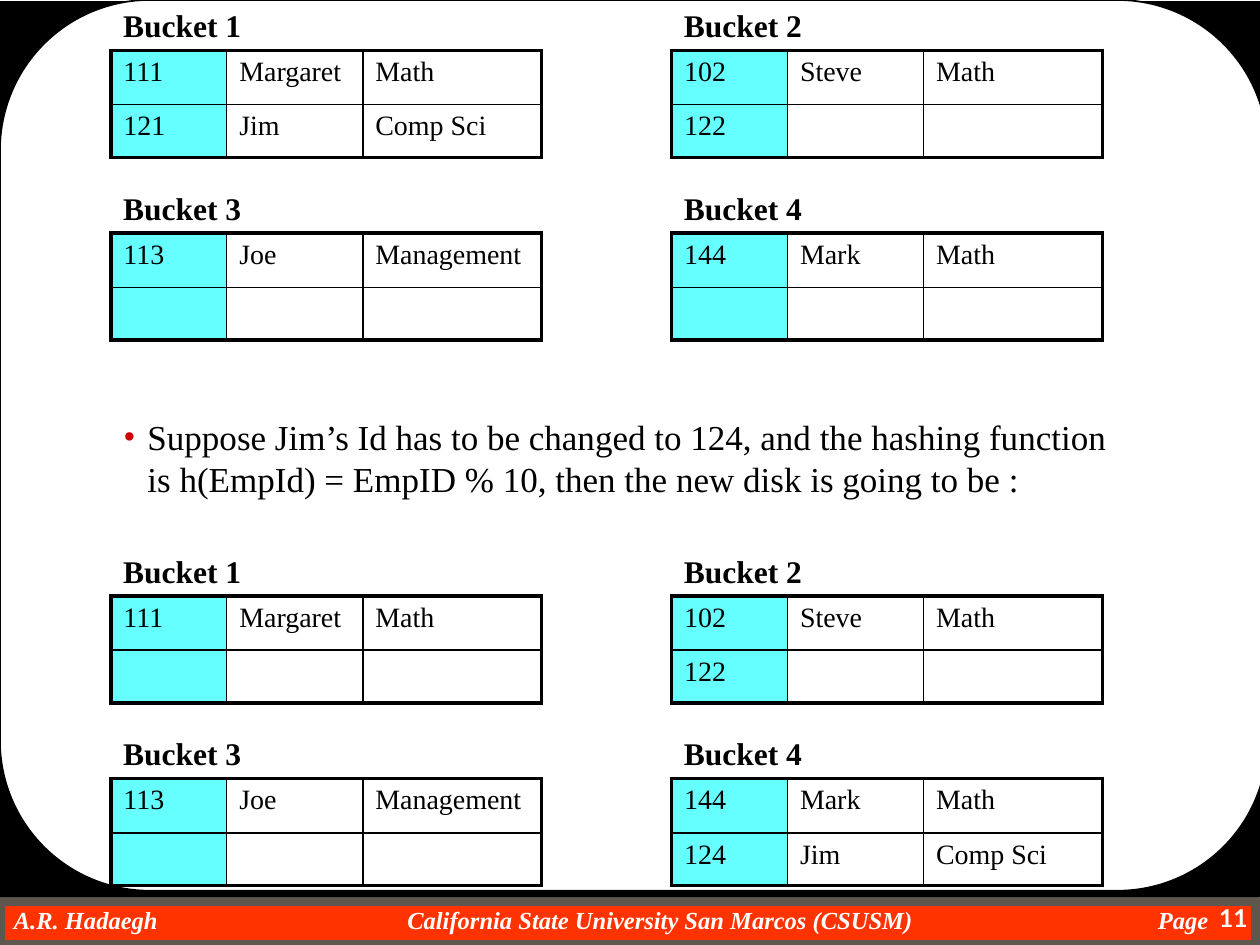
from itertools import product
from lxml import etree
from pptx import Presentation
from pptx import util as u
from pptx.dml.color import RGBColor
from pptx.enum import shapes, text
from pptx.oxml.ns import qn

COLORS = {
    "black": "000000", "white": "FFFFFF", "bar": "FF3300",
    "edge": "5E574E", "key": "66FFFF", "bullet": "CC0000",
}
SERIF = "Times New Roman"
LEFTS = [0.88, 5.33]
SECTION_TOPS = [0, 4.33]
BUCKET_PITCH = 1.45
LABEL_H = 0.4
COL_WIDTHS = [0.92, 1.08, 1.42]
ROW_HEIGHTS = [0.43, 0.42]
BUCKETS = [
    [
        [("111", "Margaret", "Math"), ("121", "Jim", "Comp Sci")],
        [("102", "Steve", "Math"), ("122", "", "")],
        [("113", "Joe", "Management"), ("", "", "")],
        [("144", "Mark", "Math"), ("", "", "")],
    ],
    [
        [("111", "Margaret", "Math"), ("", "", "")],
        [("102", "Steve", "Math"), ("122", "", "")],
        [("113", "Joe", "Management"), ("", "", "")],
        [("144", "Mark", "Math"), ("124", "Jim", "Comp Sci")],
    ],
]


def child(parent, tag, **attrs):
    el = etree.SubElement(parent, qn(tag))
    for name, value in attrs.items():
        el.set(name, str(value))
    return el


def write(tf, words, size=16, font=SERIF, color="black", bold=False,
          italic=False, align=text.PP_ALIGN.LEFT, wrap=True):
    tf.word_wrap = wrap
    p = tf.paragraphs[0]
    p.alignment = align
    r = p.add_run()
    r.text = words
    r.font.size = u.Pt(size)
    r.font.name = font
    r.font.bold = bold
    r.font.italic = italic
    r.font.color.rgb = RGBColor.from_string(COLORS[color])
    return p


prs = Presentation()
prs.slide_width, prs.slide_height = u.Inches(10), u.Inches(7.5)
slide = prs.slides.add_slide(prs.slide_layouts[1])
title, body = slide.placeholders
title.element.getparent().remove(title.element)

RECT = shapes.MSO_SHAPE.RECTANGLE
ROUND = shapes.MSO_SHAPE.ROUNDED_RECTANGLE
for kind, box, fill, line, width in [
    (RECT, (0, 7.15, 9.97, 0.35), "bar", "edge", 6),
    (RECT, (0, 0.01, 10, 7.11), "black", None, 0),
    (ROUND, (0, 0, 10.06, 7.07), "white", "black", 1),
]:
    sp = slide.shapes.add_shape(kind, *map(u.Inches, box))
    sp.shadow.inherit = False
    sp.fill.solid()
    sp.fill.fore_color.rgb = RGBColor.from_string(COLORS[fill])
    if line:
        sp.line.color.rgb = RGBColor.from_string(COLORS[line])
        sp.line.width = u.Pt(width)
    else:
        sp.line.fill.background()
    if kind == ROUND:
        sp.adjustments[0] = 1.19 / 7.07

footer = slide.shapes.add_textbox(*map(u.Inches, (0, 7.18, 9.68, 0.23)))
tf = footer.text_frame
tf.margin_left = u.Inches(0.11)
tf.margin_top = tf.margin_right = tf.margin_bottom = 0
p = write(tf, "A.R. Hadaegh\tCalifornia State University San Marcos (CSUSM)\tPage",
          size=14, color="white", bold=True, italic=True)
tabs = child(p._p.get_or_add_pPr(), "a:tabLst")
for pos, algn in [(5.13, "ctr"), (9.48, "r")]:
    child(tabs, "a:tab", pos=u.Inches(pos), algn=algn)

number = slide.shapes.add_textbox(*map(u.Inches, (9.25, 7.12, 0.75, 0.38)))
write(number.text_frame, "11", size=14, font="Lato", color="white", bold=True,
      align=text.PP_ALIGN.RIGHT)

slide.shapes._spTree.append(body.element)
body.left, body.top, body.width, body.height = map(u.Inches, (0.88, 3.25, 8.25, 0.77))
tf = body.text_frame
tf.auto_size = text.MSO_AUTO_SIZE.NONE
tf.vertical_anchor = text.MSO_ANCHOR.TOP
p = write(tf, "Suppose Jim’s Id has to be changed to 124, and the hashing function "
          "is h(EmpId) = EmpID % 10, then the new disk is going to be :", size=20)
p.space_before = u.Pt(0)
pPr = p._p.get_or_add_pPr()
pPr.set("marL", str(u.Inches(0.19)))
pPr.set("indent", str(u.Inches(-0.19)))
child(child(pPr, "a:buClr"), "a:srgbClr", val=COLORS["bullet"])
child(pPr, "a:buFont", typeface=SERIF)
child(pPr, "a:buChar", char="•")

for (section, section_top), (row, col) in product(
        enumerate(SECTION_TOPS), product(range(2), range(2))):
    index = 2 * row + col
    left, top = LEFTS[col], section_top + row * BUCKET_PITCH
    label = slide.shapes.add_textbox(*map(u.Inches, (left, top, 1.14, LABEL_H)))
    write(label.text_frame, f"Bucket {index + 1}", size=18, bold=True, wrap=False)

    frame = slide.shapes.add_table(2, 3, *map(u.Inches, (
        left, top + LABEL_H, sum(COL_WIDTHS), sum(ROW_HEIGHTS))))
    table = frame.table
    table.first_row = table.horz_banding = False
    for i, width in enumerate(COL_WIDTHS):
        table.columns[i].width = u.Inches(width)
    for i, height in enumerate(ROW_HEIGHTS):
        table.rows[i].height = u.Inches(height)

    for i, j in product(range(2), range(3)):
        cell = table.cell(i, j)
        words = BUCKETS[section][index][i][j]
        if words:
            p = write(cell.text_frame, words)
            child(child(p._p.get_or_add_pPr(), "a:spcBef"), "a:spcPct", val=20000)
        tcPr = cell._tc.get_or_add_tcPr()
        for side, outer in [("L", j == 0), ("R", j == 2), ("T", i == 0), ("B", i == 1)]:
            ln = child(tcPr, f"a:ln{side}", w=u.Pt(2.25 if outer else 1))
            child(child(ln, "a:solidFill"), "a:srgbClr", val=COLORS["black"])
        if j == 0:
            cell.fill.solid()
            cell.fill.fore_color.rgb = RGBColor.from_string(COLORS["key"])
        else:
            cell.fill.background()

prs.save("out.pptx")
